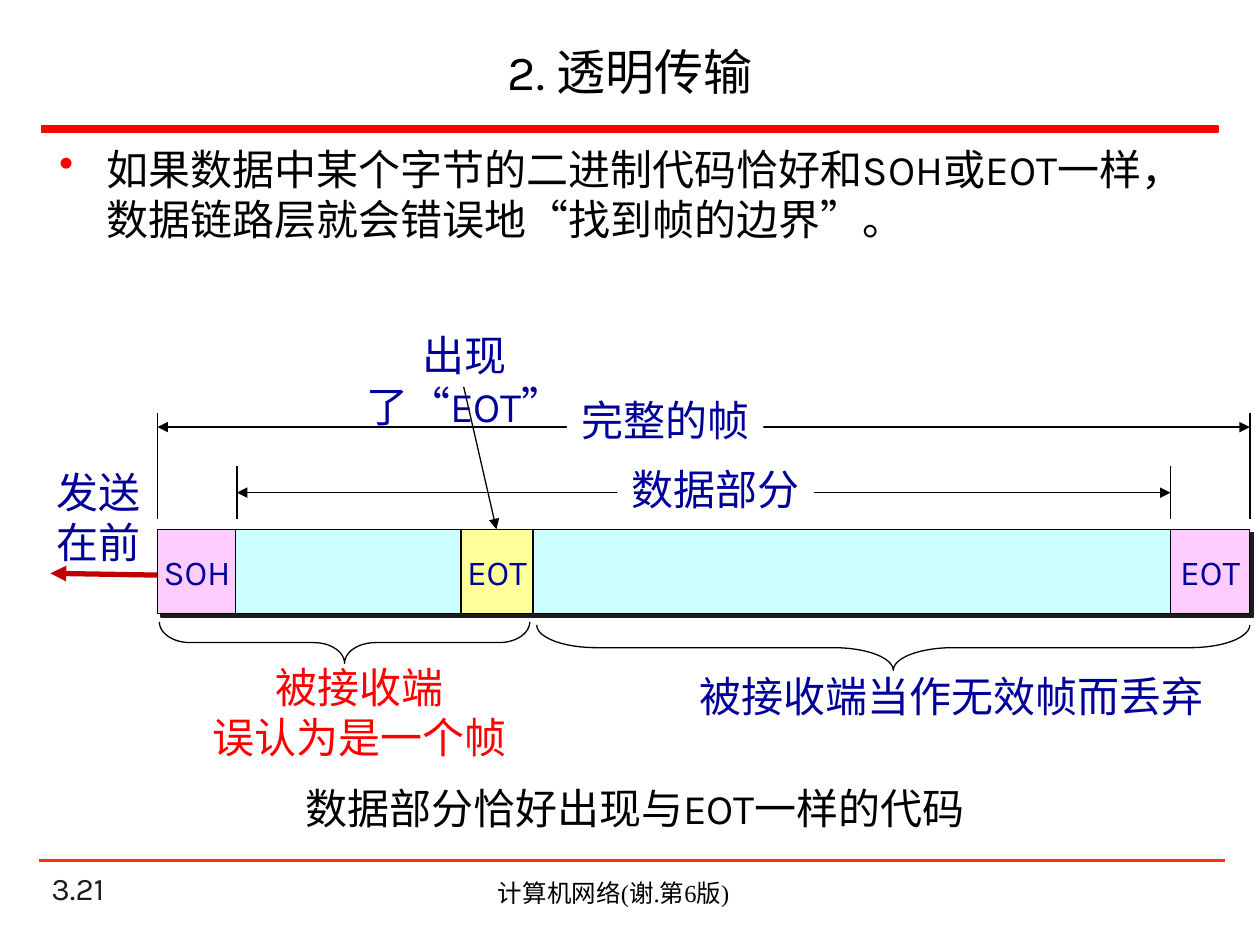
from lxml import etree
from pptx import Presentation
from pptx.dml.color import RGBColor
from pptx.enum import shapes, text
from pptx.oxml import ns
from pptx.util import Inches, Pt

BLACK = RGBColor(0x00, 0x00, 0x00)
WHITE = RGBColor(0xFF, 0xFF, 0xFF)
DARK = RGBColor(0x1C, 0x1C, 0x1C)
RED = RGBColor(0xFF, 0x00, 0x00)
ORANGE = RGBColor(0xFF, 0x33, 0x00)
CRIMSON = RGBColor(0xC0, 0x00, 0x00)
NAVY = RGBColor(0x00, 0x00, 0x99)
PINK = RGBColor(0xFF, 0xCC, 0xFF)
CYAN = RGBColor(0xCC, 0xFF, 0xFF)
YELLOW = RGBColor(0xFF, 0xFF, 0x99)

LEFT, CENTER, JUSTIFY = text.PP_ALIGN.LEFT, text.PP_ALIGN.CENTER, text.PP_ALIGN.JUSTIFY
TOP, MIDDLE, BOTTOM = text.MSO_ANCHOR.TOP, text.MSO_ANCHOR.MIDDLE, text.MSO_ANCHOR.BOTTOM
RECT, BRACE = shapes.MSO_SHAPE.RECTANGLE, shapes.MSO_SHAPE.LEFT_BRACE

prs = Presentation()
prs.slide_width, prs.slide_height = Inches(10), Inches(7.5)
s = prs.slides.add_slide(prs.slide_layouts[5])


def write(sp, lines, size, color, align=CENTER, anchor=TOP, wrap=False, font="Karla"):
    tf = sp.text_frame
    tf.auto_size = text.MSO_AUTO_SIZE.NONE
    tf.word_wrap = wrap
    tf.vertical_anchor = anchor
    for i, line in enumerate(lines):
        p = tf.add_paragraph() if i else tf.paragraphs[0]
        p.alignment = align
        r = p.add_run()
        r.text = line
        r.font.name, r.font.size, r.font.color.rgb = font, Pt(size), color


def add_line(x1, y1, x2, y2, color=BLACK, width=0.75, ends=()):
    c = s.shapes.add_connector(shapes.MSO_CONNECTOR.STRAIGHT, Inches(x1), Inches(y1),
                               Inches(x2), Inches(y2))
    c.line.color.rgb, c.line.width = color, Pt(width)
    for end in ends:
        etree.SubElement(c.line._get_or_add_ln(), ns.qn("a:" + end), type="triangle")
    etree.SubElement(c._element.spPr, ns.qn("a:effectLst"))


# Title and the rules above and below the content
title = s.shapes.title
title.left, title.top, title.width, title.height = map(Inches, (0.36, 0.21, 9.28, 0.71))
write(title, ["2. 透明传输"], 28, BLACK, anchor=MIDDLE, wrap=True)

rule = s.shapes.add_shape(RECT, Inches(0.33), Inches(1), Inches(9.34), Inches(0.05))
rule.shadow.inherit = False
rule.fill.solid()
rule.fill.fore_color.rgb = RED
rule.line.color.rgb, rule.line.width = RED, Pt(1)
add_line(0.31, 6.83, 9.72, 6.83, ORANGE, 1.5)

# Footer
number = s.shapes.add_textbox(Inches(0.31), Inches(6.92), Inches(2.08), Inches(0.33))
write(number, ["3.21"], 18, DARK, LEFT, BOTTOM, True)
footer = s.shapes.add_textbox(Inches(2.83), Inches(6.92), Inches(4.08), Inches(0.34))
write(footer, ["计算机网络(谢.第6版)"], 14, BLACK, wrap=True, font="Times New Roman")

# Bulleted statement
body = s.shapes.add_textbox(Inches(0.37), Inches(1.09), Inches(9.28), Inches(1.2))
pPr = body.text_frame.paragraphs[0]._p.get_or_add_pPr()
pPr.set("marL", str(Inches(0.38)))
pPr.set("indent", str(-Inches(0.38)))
bullet_color = etree.SubElement(pPr, ns.qn("a:buClr"))
etree.SubElement(bullet_color, ns.qn("a:srgbClr"), val=str(RED))
etree.SubElement(pPr, ns.qn("a:buChar"), char="•")
write(body, ["如果数据中某个字节的二进制代码恰好和SOH或EOT一样，数据链路层就会错误地“找到帧的边界”。"],
      24, BLACK, LEFT, wrap=True)

# Sending direction, starting behind the SOH cell
add_line(1.57, 4.57, 0.4, 4.55, CRIMSON, 3, ["tailEnd"])

# Frame cells: left, width, fill, name, shadow
cells = [
    (1.25, 0.63, PINK, "SOH", True),
    (1.87, 7.6, CYAN, "", True),
    (3.66, 0.57, YELLOW, "EOT", False),
    (9.29, 0.63, PINK, "EOT", True),
]
for x, w, fill, name, shadow in cells:
    sp = s.shapes.add_shape(RECT, Inches(x), Inches(4.2), Inches(w), Inches(0.67))
    sp.fill.solid()
    sp.fill.fore_color.rgb = fill
    sp.line.color.rgb, sp.line.width = BLACK, Pt(0.75)
    sp.shadow.inherit = False
    if shadow:
        effects = sp._element.spPr.find(ns.qn("a:effectLst"))
        outer = etree.SubElement(effects, ns.qn("a:outerShdw"), dist=str(Pt(2.8)),
                                 dir="2700000", algn="ctr", rotWithShape="0")
        etree.SubElement(outer, ns.qn("a:srgbClr"), val=str(DARK))
    if name:
        write(sp, [name], 20, NAVY, anchor=MIDDLE)

# Pointer to the stray EOT
add_line(3.68, 3.07, 3.94, 4.2, ends=["tailEnd"])

# Dimension lines: start, end, height, top of end marks, label left and top
dimensions = [
    (1.88, 9.29, 3.91, 3.7, 4.9, 3.63, "数据部分"),
    (1.25, 9.92, 3.39, 3.28, 4.5, 3.08, "完整的帧"),
]
for x1, x2, y, mark_top, label_x, label_y, label in dimensions:
    add_line(x1, y, x2, y, ends=["headEnd", "tailEnd"])
    for x in (x1, x2):
        add_line(x, mark_top, x, 4.12)
    sp = s.shapes.add_shape(RECT, Inches(label_x), Inches(label_y), Inches(1.56), Inches(0.5))
    sp.shadow.inherit = False
    sp.fill.solid()
    sp.fill.fore_color.rgb = WHITE
    sp.line.fill.background()
    write(sp, [label], 24, NAVY)

# Braces under the frame, turned to point down
for x, y, w, h, curve in [(6.91, 2.31, 0.36, 5.66, 1.32), (2.57, 3.63, 0.33, 2.94, 0.74)]:
    sp = s.shapes.add_shape(BRACE, Inches(x), Inches(y), Inches(w), Inches(h))
    sp.rotation = 270
    sp.adjustments[0] = curve
    sp.shadow.inherit = False
    sp.fill.background()
    sp.line.color.rgb, sp.line.width = BLACK, Pt(0.75)

# Labels: left, top, width, height, lines, colour, alignment, wrap
labels = [
    (2.54, 2.57, 2.3, 0.5, ["出现了“EOT”"], NAVY, CENTER, True),
    (5.45, 5.27, 4.26, 0.5, ["被接收端当作无效帧而丢弃"], NAVY, JUSTIFY, False),
    (1.57, 5.2, 2.57, 0.91, ["被接收端", "误认为是一个帧"], RED, CENTER, False),
    (0.35, 3.65, 0.88, 0.91, ["发送", "在前"], NAVY, LEFT, False),
    (1.81, 6.16, 6.46, 0.5, ["数据部分恰好出现与EOT一样的代码"], BLACK, CENTER, True),
]
for x, y, w, h, lines, color, align, wrap in labels:
    sp = s.shapes.add_textbox(Inches(x), Inches(y), Inches(w), Inches(h))
    write(sp, lines, 24, color, align, wrap=wrap)

prs.save("out.pptx")
